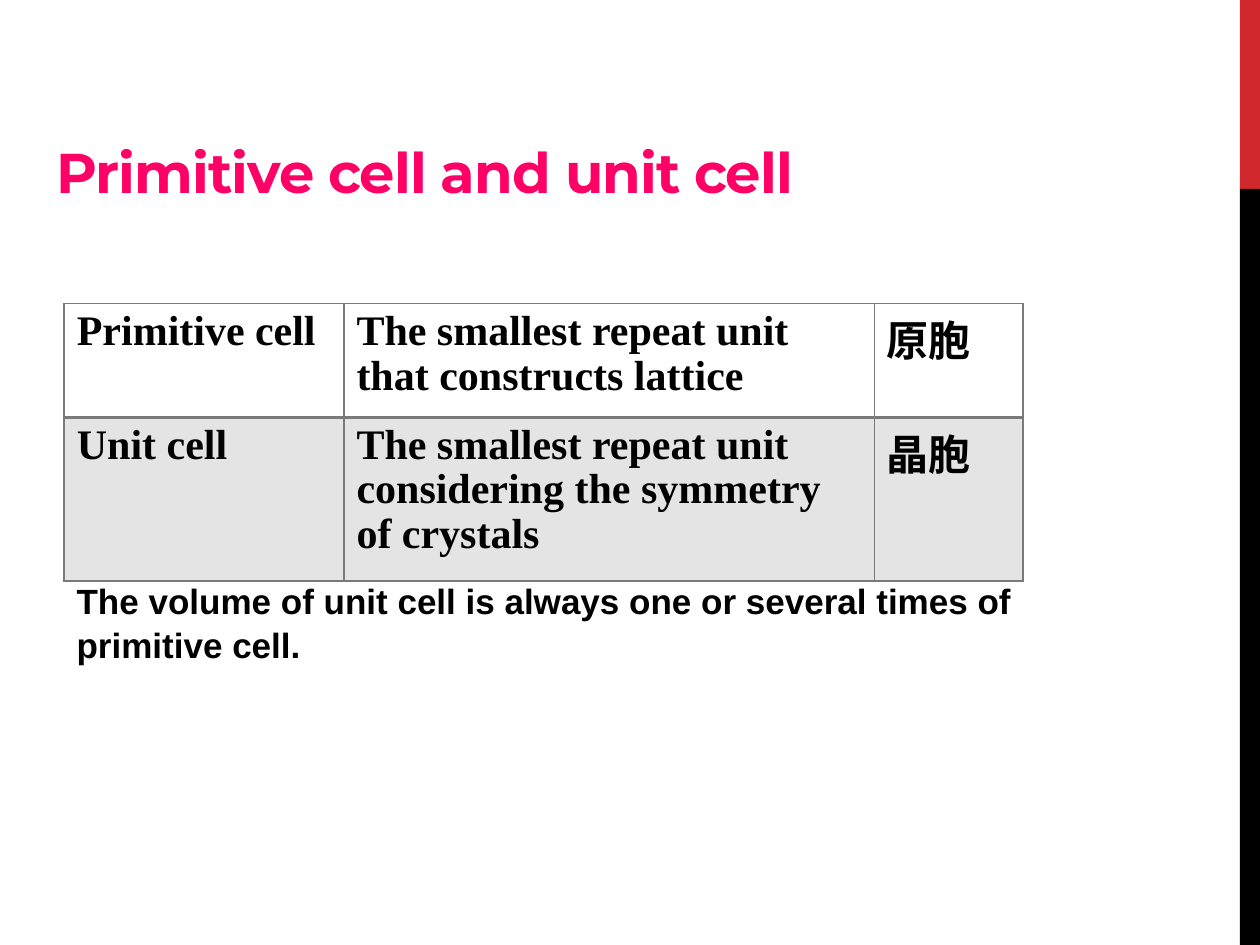
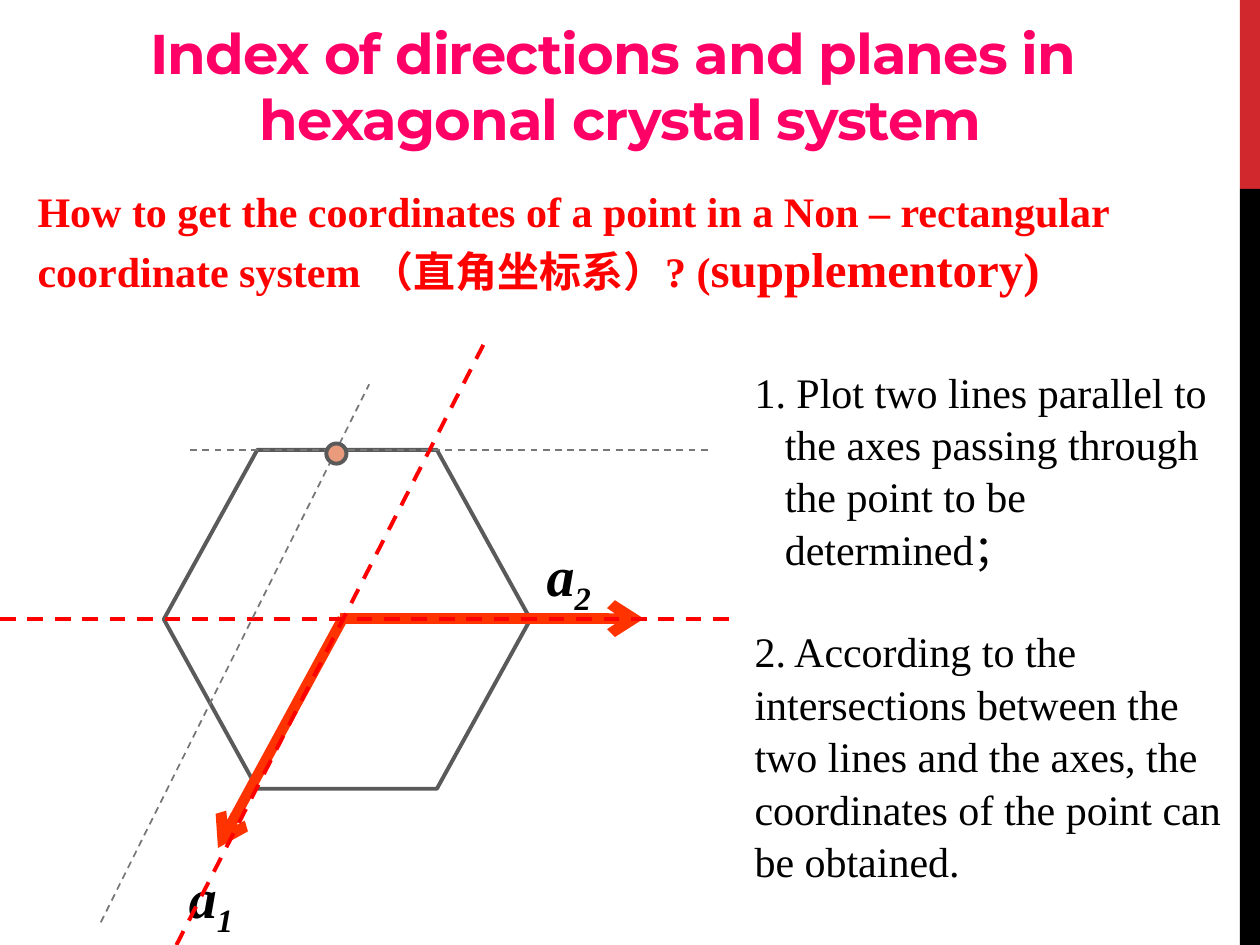
from dataclasses import dataclass

from lxml import etree
from pptx import Presentation
from pptx.dml.color import RGBColor
from pptx.enum.dml import MSO_LINE_DASH_STYLE as DASH
from pptx.enum.shapes import MSO_CONNECTOR, MSO_SHAPE
from pptx.enum.text import MSO_ANCHOR, PP_ALIGN
from pptx.oxml.ns import qn
from pptx.util import Inches, Pt


@dataclass(frozen=True)
class Theme:
    title: str = "FF0066"
    band: str = "D1282E"
    ink: str = "000000"
    red: str = "FF0000"
    vector: str = "FF3300"
    outline: str = "5A5A5A"
    grey: str = "777777"
    border: str = "7A7A7A"
    shade: str = "E4E4E4"
    point: str = "EA9B7C"
    title_font: str = "Montserrat"
    serif: str = "Times New Roman"
    sans: str = "Arial"
    title_size: int = 32
    large: int = 28
    body: int = 24
    note: int = 20


T = Theme()
W, H = 10, 7.5
BAND_W, BAND_SPLIT = 0.16, H / 5

# Slide 1
CELL_TITLE = "Primitive cell and unit cell"
CELL_TERMS = [
    ("Primitive cell", "The smallest repeat unit that constructs lattice", "原胞"),
    ("Unit cell", "The smallest repeat unit considering the symmetry of crystals", "晶胞"),
]
TERM_COLS, TERM_ROWS = (2.22, 4.21, 1.18), (0.9, 1.3)
TERM_FILLS = (None, T.shade)
RULES = (1, 2, 1)  # widths of the horizontal rules, top to bottom
VOLUME_NOTE = "The volume of unit cell is always one or several times of primitive cell."

# Slide 2
INDEX_TITLE = "Index of directions and planes in \vhexagonal crystal system"
QUESTION = [
    ("How to get the coordinates of a point in a Non – rectangular "
     "coordinate system （直角坐标系）? (", T.body),
    ("supplementory)", T.large),
]
STEPS = [
    " Plot two lines parallel to the axes passing through the point to be determined；",
    "2. According to the intersections between the two lines and the axes, "
    "the coordinates of the point can be obtained.",
]
AXIS_Y, TOP_Y = 4.91, 3.57
VECTORS = [((2.7, AXIS_Y), (5.11, AXIS_Y)), ((2.72, AXIS_Y), (1.73, 6.73))]
AXIS_LABELS = [("1", 1.4, 6.8), ("2", 4.24, 4.24)]
AXES = [((0, AXIS_Y), (5.87, AXIS_Y)), ((1.4, H), (3.85, 2.71))]
PARALLELS = [((0.8, 7.32), (2.93, 3.05)), ((1.51, TOP_Y), (5.63, TOP_Y))]
HEXAGON = (1.3, TOP_Y, 2.91, 2.69)
POINT = (2.59, 3.52, 0.16, 0.16)


def rgb(color):
    return RGBColor.from_string(color)


def style(font, color, name, size, bold=False, italic=False):
    font.name, font.size, font.bold, font.italic = name, Pt(size), bold, italic
    font.color.rgb = rgb(color)


def add_text(s, box, wrap=True):
    tf = s.shapes.add_textbox(*map(Inches, box)).text_frame
    tf.word_wrap = wrap
    return tf


def add_shape(s, kind, box, fill=None, line=None, width=2.25):
    sp = s.shapes.add_shape(kind, *map(Inches, box))
    sp.shadow.inherit = False
    if fill:
        sp.fill.solid()
        sp.fill.fore_color.rgb = rgb(fill)
    else:
        sp.fill.background()
    if line:
        sp.line.color.rgb = rgb(line)
        sp.line.width = Pt(width)
    else:
        sp.line.fill.background()
    return sp


def add_line(s, start, end, color, width, dashed=False, arrow=False):
    cx = s.shapes.add_connector(MSO_CONNECTOR.STRAIGHT, *map(Inches, start + end))
    cx.line.color.rgb = rgb(color)
    cx.line.width = Pt(width)
    if dashed:
        cx.line.dash_style = DASH.DASH
    if arrow:
        etree.SubElement(cx.line._get_or_add_ln(), qn("a:tailEnd"), type="arrow")
    etree.SubElement(cx._element.spPr, qn("a:effectLst"))


def add_slide(prs, title, box, align=PP_ALIGN.LEFT):
    """Start a slide with the side bands and a title."""
    s = prs.slides.add_slide(prs.slide_layouts[6])
    x = W - BAND_W
    add_shape(s, MSO_SHAPE.RECTANGLE, (x, 0, BAND_W, BAND_SPLIT), T.band)
    add_shape(s, MSO_SHAPE.RECTANGLE, (x, BAND_SPLIT, BAND_W, H - BAND_SPLIT), T.ink)
    tf = add_text(s, box)
    tf.vertical_anchor = MSO_ANCHOR.BOTTOM
    tf.margin_bottom = Inches(0.02)
    p = tf.paragraphs[0]
    p.text, p.alignment, p.line_spacing = title, align, 0.98
    style(p.font, T.title, T.title_font, T.title_size, bold=True)
    for r in p.runs:
        r._r.get_or_add_rPr().set("spc", "-60")
    return s


def set_borders(cell, top, bottom):
    tc_pr = cell._tc.get_or_add_tcPr()
    for i, (side, width) in enumerate(zip("LRTB", (1, 1, top, bottom))):
        ln = etree.Element(qn(f"a:ln{side}"), w=str(Pt(width)))
        fill = etree.SubElement(ln, qn("a:solidFill"))
        etree.SubElement(fill, qn("a:srgbClr"), val=T.border)
        tc_pr.insert(i, ln)


def add_terms_table(s, left, top):
    size = map(Inches, (left, top, sum(TERM_COLS), sum(TERM_ROWS)))
    table = s.shapes.add_table(len(TERM_ROWS), len(TERM_COLS), *size).table
    table.first_row = table.horz_banding = False
    for col, width in zip(table.columns, TERM_COLS):
        col.width = Inches(width)
    for i, (row, height) in enumerate(zip(table.rows, TERM_ROWS)):
        row.height = Inches(height)
        for cell, text in zip(row.cells, CELL_TERMS[i]):
            p = cell.text_frame.paragraphs[0]
            p.text, p.line_spacing = text, 0.96
            style(p.font, T.ink, T.serif, T.body, bold=True)
            if TERM_FILLS[i]:
                cell.fill.solid()
                cell.fill.fore_color.rgb = rgb(TERM_FILLS[i])
            else:
                cell.fill.background()
            set_borders(cell, RULES[i], RULES[i + 1])


def add_cells_slide(prs):
    s = add_slide(prs, CELL_TITLE, (0.35, 0.99, 7.89, 0.67))
    p = add_text(s, (0.51, 4.54, 8.43, 0.77)).paragraphs[0]
    p.text, p.line_spacing = VOLUME_NOTE, 1.04
    style(p.font, T.ink, T.sans, T.note, bold=True)
    add_terms_table(s, 0.51, 2.41)


def add_question(s):
    p = add_text(s, (0.2, 1.41, 9.53, 1.45)).paragraphs[0]
    p.line_spacing = 1.04
    for text, size in QUESTION:
        r = p.add_run()
        r.text = text
        style(r.font, T.red, T.serif, size, bold=True)


def add_steps(s):
    tf = add_text(s, (5.89, 2.84, 3.94, 3.73))
    first, second = tf.paragraphs[0], tf.add_paragraph()
    p_pr = first._p.get_or_add_pPr()
    p_pr.set("marL", str(Inches(0.24)))
    p_pr.set("indent", str(Inches(-0.24)))
    etree.SubElement(p_pr, qn("a:buAutoNum"), type="arabicPeriod")
    second.space_before = Pt(T.body * 1.2)
    for p, text in zip((first, second), STEPS):
        p.text, p.line_spacing = text, 1.04
        style(p.font, T.ink, T.serif, T.body)


def add_axis_label(s, index, x, y):
    p = add_text(s, (x, y, 0.58, 0.64), wrap=False).paragraphs[0]
    for text in ("a", index):
        r = p.add_run()
        r.text = text
    r._r.get_or_add_rPr().set("baseline", "-25000")
    style(p.font, T.ink, T.serif, T.title_size, bold=True, italic=True)


def add_hexagonal_slide(prs):
    s = add_slide(prs, INDEX_TITLE, (0.12, 0, 9.61, 1.24), PP_ALIGN.CENTER)
    add_question(s)
    hexagon = add_shape(s, MSO_SHAPE.HEXAGON, HEXAGON, line=T.outline)
    hexagon.adjustments[0] = 0.276
    for start, end in VECTORS:
        add_line(s, start, end, T.vector, 6, arrow=True)
    for label in AXIS_LABELS:
        add_axis_label(s, *label)
    for start, end in AXES:
        add_line(s, start, end, T.red, 2.25, dashed=True)
    for start, end in PARALLELS:
        add_line(s, start, end, T.grey, 1, dashed=True)
    add_steps(s)
    add_shape(s, MSO_SHAPE.OVAL, POINT, T.point, T.outline)


def main():
    prs = Presentation()
    prs.slide_width, prs.slide_height = Inches(W), Inches(H)
    add_cells_slide(prs)
    add_hexagonal_slide(prs)
    prs.save("out.pptx")


if __name__ == "__main__":
    main()
